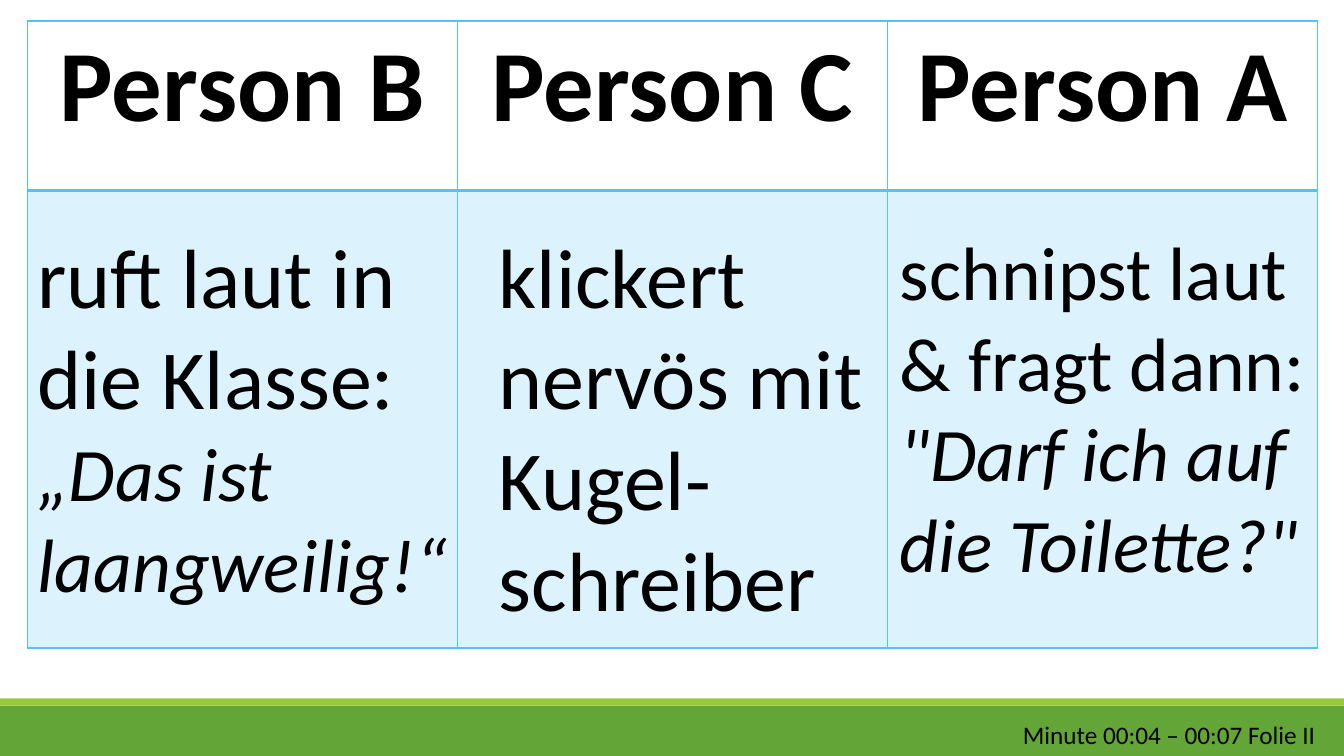
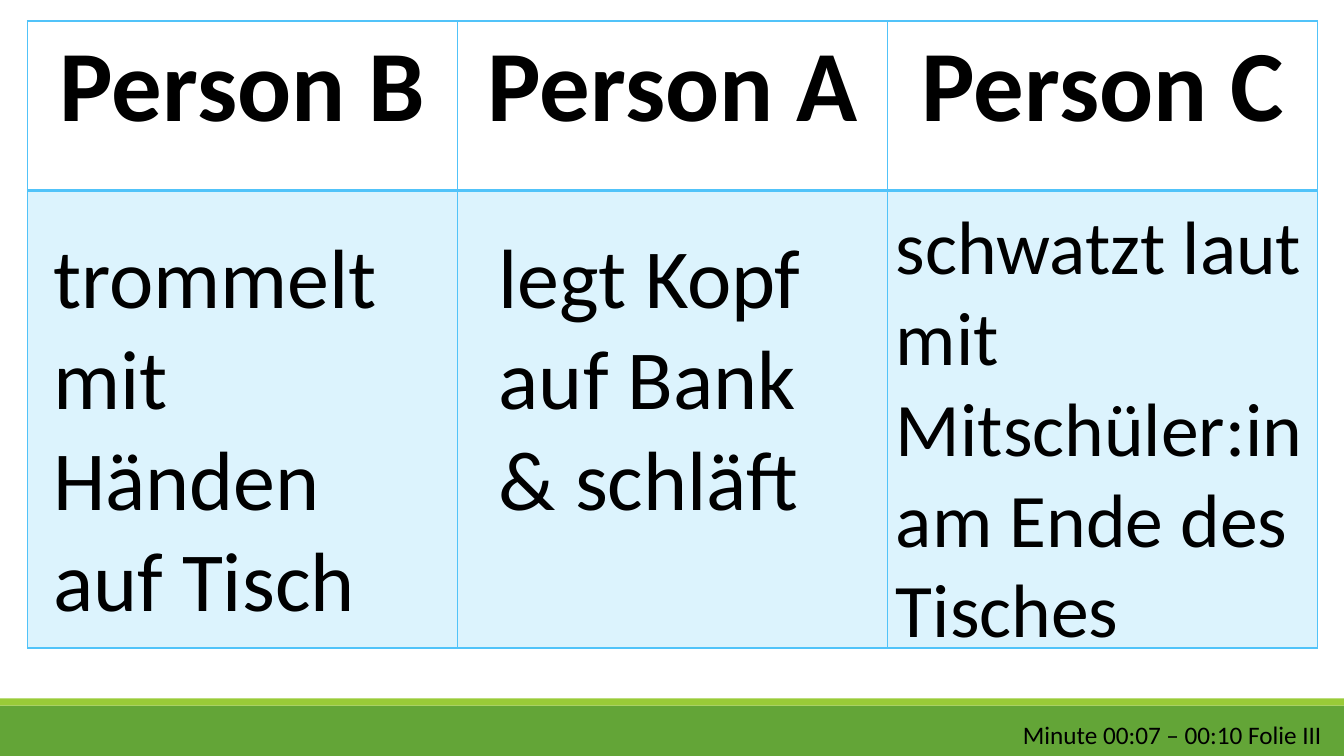
from dataclasses import dataclass

from lxml import etree
from pptx import Presentation
from pptx import util as u
from pptx.dml import color as dml
from pptx.enum import shapes, text
from pptx.oxml import ns

COLORS = {
    "band": "63A537",
    "stripe": "99CB38",
    "rule": "808080",
    "grid": "51C3F9",
    "text": "000000",
}
FONT = "Calibri"
WIDTH, HEIGHT = 33.87, 19.05
TABLE_LEFT, TABLE_TOP = 0.69, 0.53
COLUMN_WIDTH = 10.84
ROW_HEIGHTS = (4.27, 11.53)
BODY_TINT = 20
NOTE_TOP = 5.54

HEADING = {"size": u.Pt(72), "bold": True}
LARGE = {"size": u.Pt(60)}
MEDIUM = {"size": u.Pt(54)}
QUOTE = {"size": u.Pt(54), "italic": True}
FOOTER = {"size": u.Pt(18)}


@dataclass(frozen=True)
class Line:
    """One paragraph and its font values."""
    wording: str
    style: dict


@dataclass(frozen=True)
class TextBox:
    """A text box with lengths in centimetres."""
    left: float
    top: float
    width: float
    height: float
    lines: tuple[Line, ...]


@dataclass(frozen=True)
class RoleSlide:
    """The headings, behaviours and footer of one slide."""
    persons: tuple[str, ...]
    behaviours: tuple[TextBox, ...]
    footer: str


ROLE_SLIDES = (
    RoleSlide(
        ("Person B", "Person C", "Person A"),
        (
            TextBox(TABLE_LEFT, NOTE_TOP, 11.25, 10.01, (
                Line("ruft laut in die Klasse:", LARGE),
                Line("„Das ist laangweilig!“", QUOTE))),
            TextBox(12.32, NOTE_TOP, 11.25, 10.52, (
                Line("klickert nervös mit Kugel-schreiber", LARGE),)),
            TextBox(22.43, NOTE_TOP, 10.72, 9.5, (
                Line("schnipst laut & fragt dann:", MEDIUM),
                Line('"Darf ich auf die Toilette?"', QUOTE))),
        ),
        "Minute 00:04 – 00:07 Folie II",
    ),
    RoleSlide(
        ("Person B", "Person A", "Person C"),
        (
            TextBox(1.09, NOTE_TOP, 9.47, 10.52, (
                Line("trommelt mit Händen auf Tisch", LARGE),)),
            TextBox(12.32, NOTE_TOP, 8.23, 7.95, (
                Line("legt Kopf auf Bank", LARGE),
                Line("& schläft", LARGE))),
            TextBox(22.33, 4.9, 10.87, 11.79, (
                Line("schwatzt laut mit Mitschüler:in am Ende des Tisches", MEDIUM),)),
        ),
        "Minute 00:07 – 00:10 Folie III",
    ),
)


def rgb(name: str) -> dml.RGBColor:
    """Return a palette colour."""
    return dml.RGBColor.from_string(COLORS[name])


def write_line(paragraph, line: Line) -> None:
    """Put one formatted run into a paragraph."""
    run = paragraph.add_run()
    run.text = line.wording
    for name, value in {"name": FONT, **line.style}.items():
        setattr(run.font, name, value)
    run.font.color.rgb = rgb("text")


def add_text_box(slide, box: TextBox) -> None:
    """Draw a wrapping text box."""
    shape = slide.shapes.add_textbox(
        u.Cm(box.left), u.Cm(box.top), u.Cm(box.width), u.Cm(box.height))
    frame = shape.text_frame
    frame.word_wrap = True
    frame.auto_size = text.MSO_AUTO_SIZE.SHAPE_TO_FIT_TEXT
    for index, line in enumerate(box.lines):
        paragraph = frame.add_paragraph() if index else frame.paragraphs[0]
        write_line(paragraph, line)


def set_borders(cell, top: float, bottom: float) -> None:
    """Draw the four cell borders; the side borders are one point wide."""
    properties = cell._tc.get_or_add_tcPr()
    sides = {"lnL": 1, "lnR": 1, "lnT": top, "lnB": bottom}
    for index, (tag, points) in enumerate(sides.items()):
        border = etree.Element(ns.qn(f"a:{tag}"), w=str(int(u.Pt(points))))
        fill = etree.SubElement(border, ns.qn("a:solidFill"))
        etree.SubElement(fill, ns.qn("a:srgbClr"), val=COLORS["grid"])
        properties.insert(index, border)


def tint_cell(cell) -> None:
    """Give a cell the transparent grid colour."""
    cell.fill.solid()
    cell.fill.fore_color.rgb = rgb("grid")
    color = cell._tc.tcPr.find(f".//{ns.qn('a:srgbClr')}")
    etree.SubElement(color, ns.qn("a:alpha"), val=str(BODY_TINT * 1000))


def add_role_table(slide, persons: tuple[str, ...]) -> None:
    """Draw the headed table with one column for each person."""
    table = slide.shapes.add_table(
        len(ROW_HEIGHTS), len(persons), u.Cm(TABLE_LEFT), u.Cm(TABLE_TOP),
        u.Cm(COLUMN_WIDTH * len(persons)), u.Cm(sum(ROW_HEIGHTS))).table
    for name in ("first_row", "horz_banding"):
        setattr(table, name, False)
    for row, height in zip(table.rows, ROW_HEIGHTS):
        row.height = u.Cm(height)
    for index, person in enumerate(persons):
        table.columns[index].width = u.Cm(COLUMN_WIDTH)
        heading, body = table.cell(0, index), table.cell(1, index)
        heading.fill.background()
        paragraph = heading.text_frame.paragraphs[0]
        paragraph.alignment = text.PP_ALIGN.CENTER
        write_line(paragraph, Line(person, HEADING))
        tint_cell(body)
        set_borders(heading, top=1, bottom=2)
        set_borders(body, top=2, bottom=1)


def add_band(slide, top: float, height: float, color: str):
    """Draw a full-width band and return it."""
    band = slide.shapes.add_shape(
        shapes.MSO_SHAPE.RECTANGLE, 0, u.Cm(top), u.Cm(WIDTH), u.Cm(height))
    band.shadow.inherit = False
    band.fill.solid()
    band.fill.fore_color.rgb = rgb(color)
    band.line.fill.background()
    return band


def add_rule(slide):
    """Draw the thin heading rule and return it."""
    rule = slide.shapes.add_connector(
        shapes.MSO_CONNECTOR.STRAIGHT,
        u.Cm(3.33), u.Cm(4.83), u.Cm(31.01), u.Cm(4.83))
    rule.line.color.rgb = rgb("rule")
    rule.line.width = u.Pt(0.5)
    etree.SubElement(rule.element.spPr, ns.qn("a:effectLst"))
    return rule


def decorate_layout(layout, slide) -> None:
    """Draw the shared bands and rule, then move them into the layout."""
    for placeholder in list(layout.placeholders):
        layout.shapes.element.remove(placeholder.element)
    decorations = (
        add_band(slide, 17.78, 1.27, "band"),
        add_band(slide, 17.6, 0.18, "stripe"),
        add_rule(slide),
    )
    for shape in decorations:
        layout.shapes.element.append(shape.element)


def main() -> None:
    """Build and save the presentation."""
    presentation = Presentation()
    presentation.slide_width = u.Cm(WIDTH)
    presentation.slide_height = u.Cm(HEIGHT)
    layout = presentation.slide_layouts[6]
    slides = [presentation.slides.add_slide(layout) for _ in ROLE_SLIDES]
    decorate_layout(layout, slides[0])
    for slide, content in zip(slides, ROLE_SLIDES):
        add_role_table(slide, content.persons)
        for box in content.behaviours:
            add_text_box(slide, box)
        add_text_box(slide, TextBox(
            25.53, 18.01, 8.18, 1.02, (Line(content.footer, FOOTER),)))
    presentation.save("out.pptx")


main()
